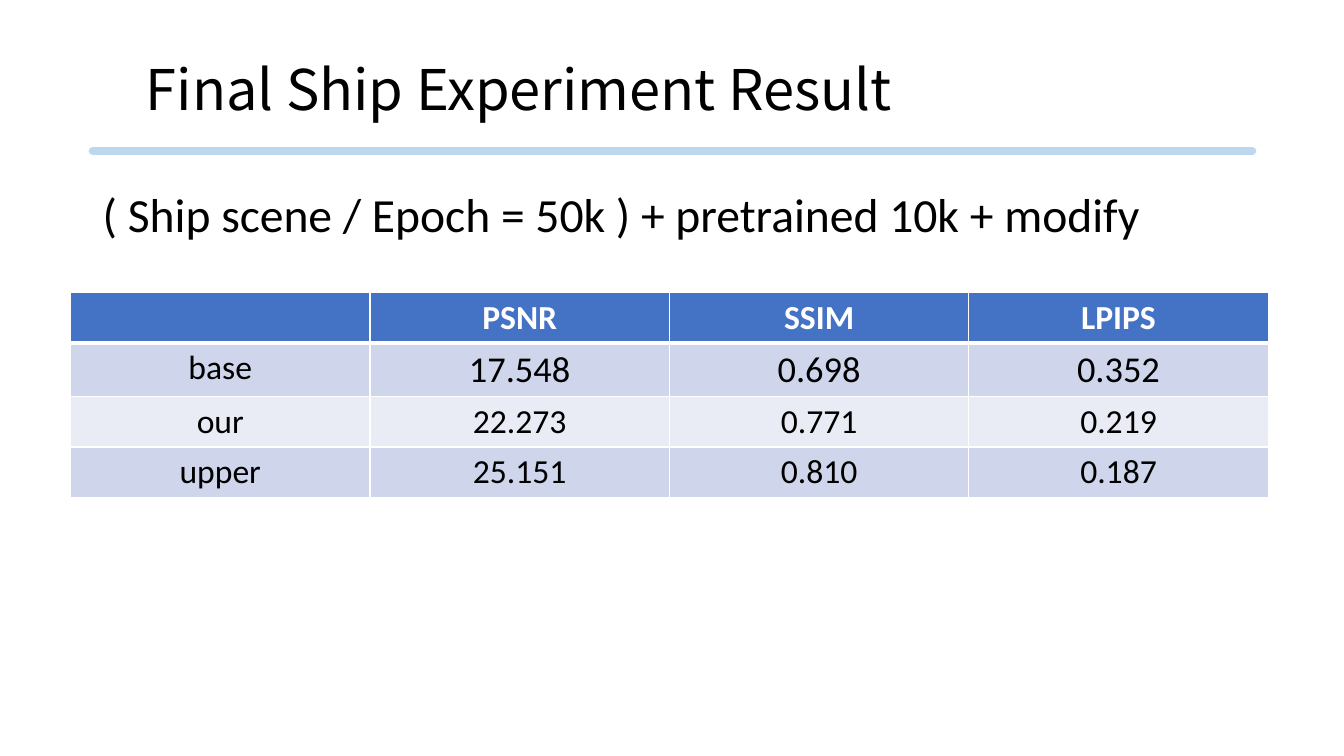
import dataclasses

import lxml.etree
import pptx
import pptx.dml.color
import pptx.enum.shapes
import pptx.enum.text
import pptx.oxml
import pptx.oxml.ns
import pptx.util

Inches = pptx.util.Inches
Pt = pptx.util.Pt
qn = pptx.oxml.ns.qn


@dataclasses.dataclass(frozen=True)
class Theme:
    """Colours, fonts and type sizes of the slide."""

    ink: str = "000000"
    paper: str = "FFFFFF"
    rule: str = "BDD7EE"
    header: str = "4472C4"
    bands: tuple = ("CFD5EA", "E9EBF5")
    title_font: str = "Noto Sans CJK KR"
    body_font: str = "Calibri"
    title_size: float = 40
    body_size: float = 34
    cell_size: float = 24
    large_cell_size: float = 26
    rule_width: float = 5.75
    border_width: float = 1
    header_border_width: float = 3


class ResultPage:
    """Draws styled elements on one slide."""

    def __init__(self, page, theme):
        self.page = page
        self.theme = theme

    def color(self, value):
        """Turn a hex value into a colour."""
        return pptx.dml.color.RGBColor.from_string(value)

    def style(self, para, font, size, color, bold=False):
        """Format every run of a paragraph."""
        for span in para.runs:
            span.font.name = font
            span.font.size = Pt(size)
            span.font.bold = bold
            span.font.color.rgb = self.color(color)

    def rule(self, left, right, top):
        """Draw a horizontal rule with round ends."""
        line = self.page.shapes.add_connector(
            pptx.enum.shapes.MSO_CONNECTOR.STRAIGHT,
            Inches(left), Inches(top), Inches(right), Inches(top))
        line.line.color.rgb = self.color(self.theme.rule)
        line.line.width = Pt(self.theme.rule_width)
        properties = line._element.spPr
        properties.find(qn("a:ln")).set("cap", "rnd")
        lxml.etree.SubElement(properties, qn("a:effectLst"))

    def text(self, content, left, top, width, height, font, size):
        """Add a wrapped text box and return its paragraph."""
        box = self.page.shapes.add_textbox(
            Inches(left), Inches(top), Inches(width), Inches(height))
        box.text_frame.word_wrap = True
        box.text_frame.text = content
        para = box.text_frame.paragraphs[0]
        self.style(para, font, size, self.theme.ink)
        return para

    def borders(self, cell, top, bottom):
        """Set the four borders of a cell, with widths in points."""
        side = self.theme.border_width
        edges = {"L": side, "R": side, "T": top, "B": bottom}
        properties = cell._tc.get_or_add_tcPr()
        for index, (edge, width) in enumerate(edges.items()):
            line = lxml.etree.Element(qn(f"a:ln{edge}"), w=str(Pt(width)))
            fill = lxml.etree.SubElement(line, qn("a:solidFill"))
            lxml.etree.SubElement(fill, qn("a:srgbClr"), val=self.theme.paper)
            properties.insert(index, line)

    def table(self, rows, left, top, column_width, row_height, large_cells):
        """Add a banded table with a header row."""
        theme = self.theme
        count = len(rows[0])
        grid = self.page.shapes.add_table(
            len(rows), count, Inches(left), Inches(top),
            Inches(column_width * count), Inches(row_height * len(rows))).table
        for column in grid.columns:
            column.width = Inches(column_width)
        thin, thick = theme.border_width, theme.header_border_width
        for row_index, values in enumerate(rows):
            grid.rows[row_index].height = Inches(row_height)
            is_header = row_index == 0
            fill = theme.header if is_header else theme.bands[(row_index - 1) % 2]
            ink = theme.paper if is_header else theme.ink
            for column_index, value in enumerate(values):
                cell = grid.cell(row_index, column_index)
                cell.fill.solid()
                cell.fill.fore_color.rgb = self.color(fill)
                self.borders(cell, thick if row_index == 1 else thin,
                             thick if is_header else thin)
                if not value:
                    continue
                is_large = (row_index, column_index) in large_cells
                size = theme.large_cell_size if is_large else theme.cell_size
                cell.text_frame.text = value
                para = cell.text_frame.paragraphs[0]
                para.alignment = pptx.enum.text.PP_ALIGN.CENTER
                self.style(para, theme.body_font, size, ink, is_header)


def main():
    """Build and save the result slide."""
    deck = pptx.Presentation()
    deck.slide_width = Inches(13.33)
    deck.slide_height = Inches(7.5)
    theme = Theme()
    result = ResultPage(deck.slides.add_slide(deck.slide_layouts[6]), theme)

    result.rule(0.92, 12.42, 1.5)
    result.text("Final Ship Experiment Result", 1.35, 0.49, 11.2, 0.77,
                theme.title_font, theme.title_size)
    setup = result.text("( Ship scene / Epoch = 50k ) + pretrained 10k + modify",
                        0.92, 1.85, 11.5, 4.76, theme.body_font, theme.body_size)
    setup.line_spacing = 0.9
    setup.space_before = Pt(10)

    scores = [
        ("", "PSNR", "SSIM", "LPIPS"),
        ("base", "17.548", "0.698", "0.352"),
        ("our", "22.273", "0.771", "0.219"),
        ("upper", "25.151", "0.810", "0.187"),
    ]
    result.table(scores, 0.7, 2.9, 2.97, 0.41, {(1, 1), (1, 2), (1, 3)})
    deck.save("out.pptx")


if __name__ == "__main__":
    main()
